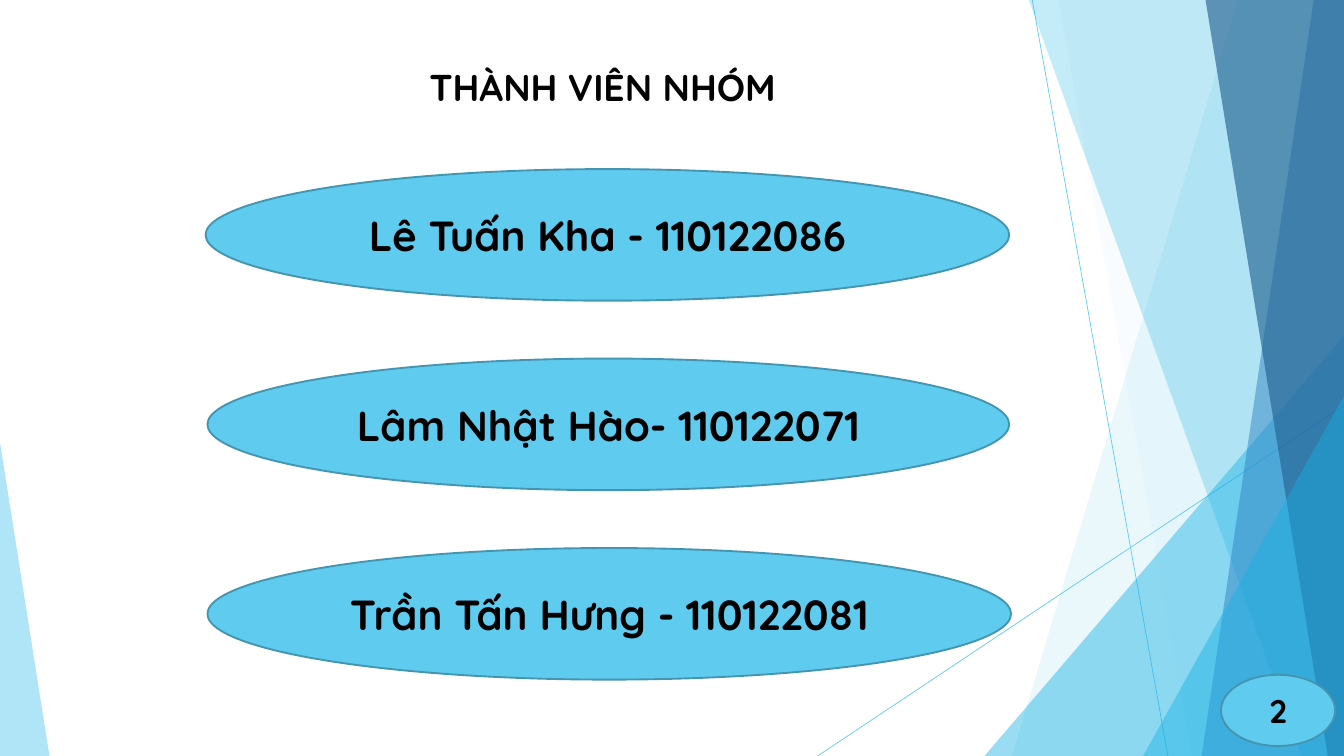
from lxml import etree
from pptx import Presentation
from pptx.dml.color import RGBColor
from pptx.enum import shapes, text
from pptx.oxml import ns
from pptx.util import Pt

SKY = RGBColor(0x5F, 0xCB, 0xEF)
CYAN = RGBColor(0x17, 0xB0, 0xE4)
BLUE = RGBColor(0x2E, 0x83, 0xC3)
NAVY = RGBColor(0x23, 0x62, 0x92)
OUTLINE = RGBColor(0x44, 0x95, 0xB0)
BLACK = RGBColor(0, 0, 0)
FONT = "Quicksand"

WIDTH, HEIGHT = 1440, 810
MEMBERS = [
    ("Lê Tuấn Kha - 110122086", 220.3, 861),
    ("Lâm Nhật Hào- 110122071", 222.3, 859),
    ("Trần Tấn Hưng - 110122081", 222.3, 861),
]


def add_facet(slide, left, top, points, color, opacity):
    vertices = [(Pt(left + x), Pt(top + y)) for x, y in points]
    builder = slide.shapes.build_freeform(*vertices[0], scale=1.0)
    builder.add_line_segments(vertices[1:], close=True)
    shape = builder.convert_to_shape()
    shape.shadow.inherit = False
    shape.fill.solid()
    shape.fill.fore_color.rgb = color
    shape.line.fill.background()
    color_element = shape.fill._xPr.find(".//" + ns.qn("a:srgbClr"))
    etree.SubElement(color_element, ns.qn("a:alpha"), val=str(opacity * 1000))


def add_thin_line(slide, start_x, start_y, end_x, end_y):
    line = slide.shapes.add_connector(
        shapes.MSO_CONNECTOR.STRAIGHT, Pt(start_x), Pt(start_y), Pt(end_x), Pt(end_y))
    line.line.color.rgb = SKY
    line.line.width = Pt(0.75)
    etree.SubElement(line._element.spPr, ns.qn("a:effectLst"))


def add_right_panel(slide, left, top, width, height):
    def band(top_x, bottom_x):
        return [(top_x, 0), (width, 0), (width, height), (bottom_x, height)]

    def corner(bottom_x, right_y):
        return [(bottom_x, height), (width, right_y), (width, height)]

    add_thin_line(slide, left + 230, top, left + 375.4, top + height)
    add_thin_line(slide, left + width, top + 434.2, left, top + height)
    for points, color, opacity in [
        (band(450.2, 208.3), SKY, 13),
        (band(258, 401.3), SKY, 4),
        (corner(178.8, 360), CYAN, 44),
        (band(226.3, 518.6), CYAN, 25),
        (band(531.6, 411.4), BLUE, 49),
        (band(415.7, 546.7), NAVY, 64),
        (corner(348.7, 424.1), CYAN, 44),
    ]:
        add_facet(slide, left, top, points, color, opacity)


def add_left_wedge(slide, left, top, width, height):
    add_facet(slide, left, top, [(0, height), (0, 0), (width, height)], SKY, 49)


def write_text(frame, words, size, spacing, margin, alignment):
    frame.word_wrap = True
    frame.margin_left = frame.margin_right = Pt(margin)
    frame.margin_top = frame.margin_bottom = Pt(margin)
    paragraph = frame.paragraphs[0]
    paragraph.text = words
    paragraph.alignment = alignment
    paragraph.line_spacing = Pt(spacing)
    paragraph.font.name = FONT
    paragraph.font.size = Pt(size)
    paragraph.font.bold = True
    paragraph.font.color.rgb = BLACK


def add_title(slide, left, top, width, height):
    box = slide.shapes.add_textbox(Pt(left), Pt(top), Pt(width), Pt(height))
    write_text(box.text_frame, "THÀNH VIÊN NHÓM", 40, 48, 0, text.PP_ALIGN.LEFT)
    box.text_frame.auto_size = text.MSO_AUTO_SIZE.SHAPE_TO_FIT_TEXT


def add_oval(slide, left, top, width, height, words, size, spacing):
    oval = slide.shapes.add_shape(
        shapes.MSO_SHAPE.OVAL, Pt(left), Pt(top), Pt(width), Pt(height))
    oval.shadow.inherit = False
    oval.fill.solid()
    oval.fill.fore_color.rgb = SKY
    oval.line.color.rgb = OUTLINE
    oval.line.width = Pt(2)
    oval.text_frame.vertical_anchor = text.MSO_ANCHOR.MIDDLE
    write_text(oval.text_frame, words, size, spacing, 4, text.PP_ALIGN.CENTER)


def add_members(slide, top, height, pitch):
    for row, (words, left, width) in enumerate(MEMBERS):
        add_oval(slide, left, top + row * pitch, width, height, words, 45, 54)


def main():
    presentation = Presentation()
    presentation.slide_width = Pt(WIDTH)
    presentation.slide_height = Pt(HEIGHT)
    slide = presentation.slides.add_slide(presentation.slide_layouts[6])
    add_right_panel(slide, 876, 0, WIDTH - 876, HEIGHT)
    add_left_wedge(slide, 0, 474, 53, HEIGHT - 474)
    add_title(slide, 460, 68.4, 385, 48)
    add_oval(slide, 1308.2, 723, 122.4, 76.3, "2", 35, 42)
    add_members(slide, 181.2, 141, 203)
    presentation.save("out.pptx")


if __name__ == "__main__":
    main()
